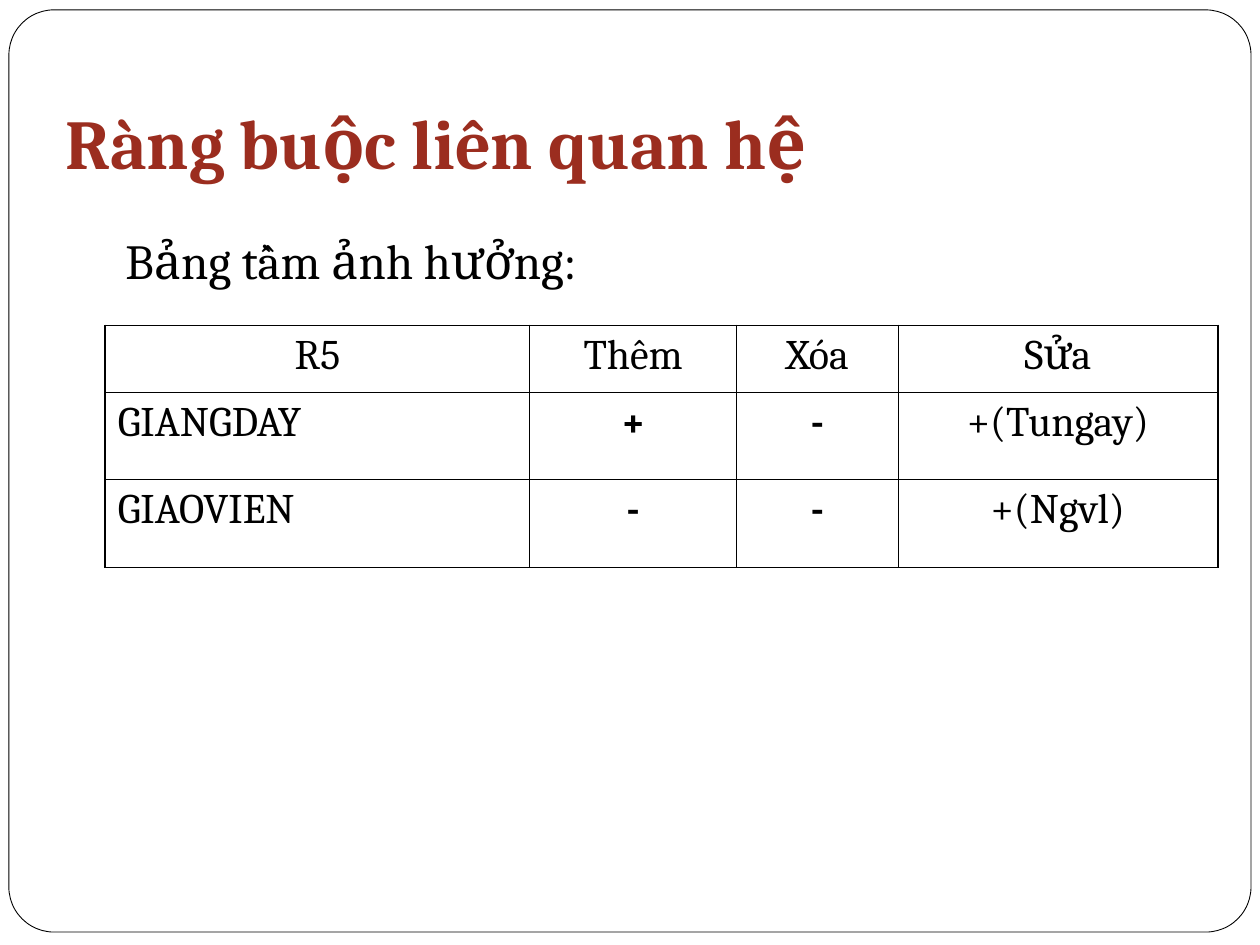
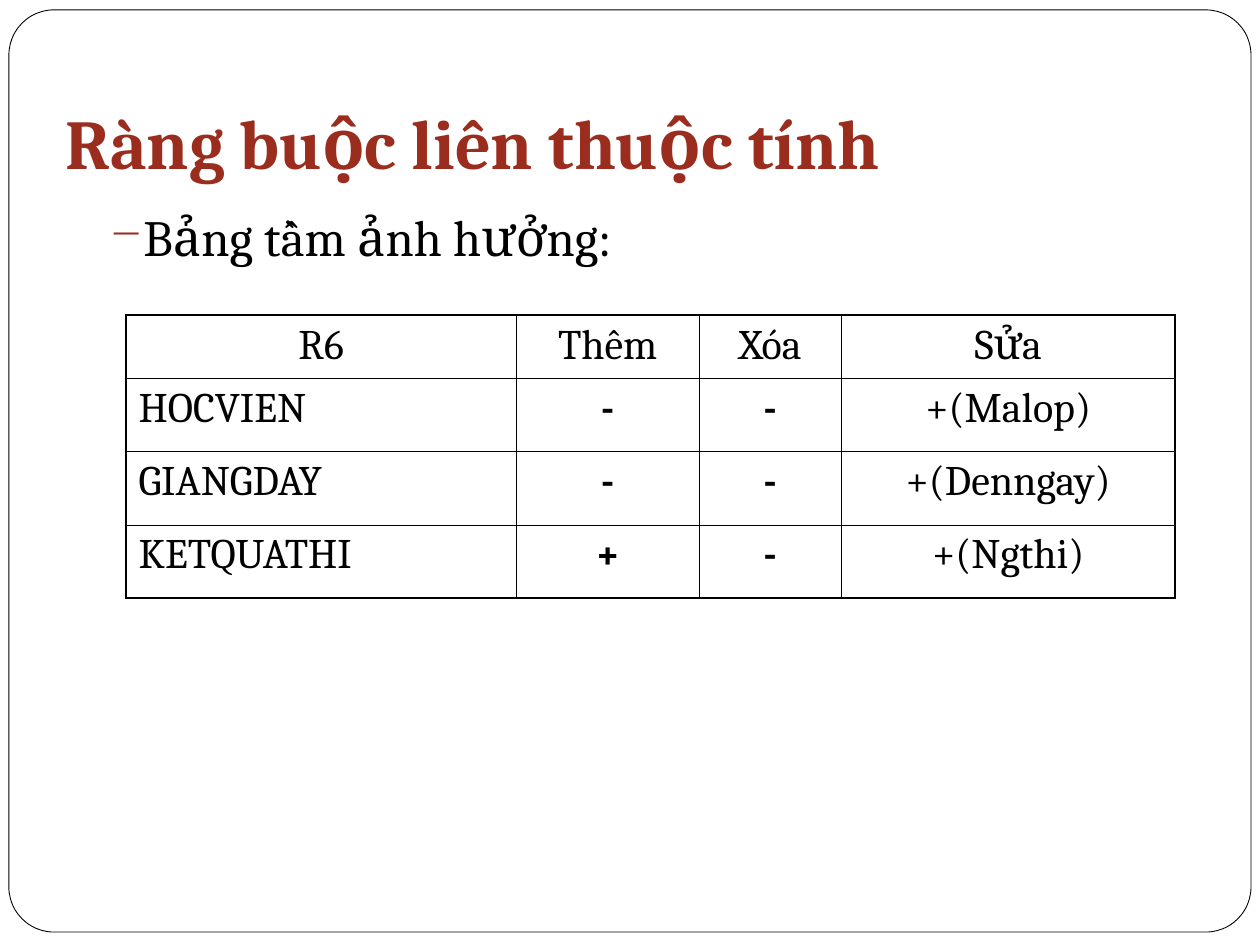
from lxml import etree
from pptx import Presentation
from pptx.dml.color import RGBColor
from pptx.enum.shapes import MSO_SHAPE
from pptx.enum.text import MSO_ANCHOR, PP_ALIGN
from pptx.oxml.ns import qn
from pptx.util import Cm, Pt

ROUND = MSO_SHAPE.ROUNDED_RECTANGLE
TOP, BOTTOM = MSO_ANCHOR.TOP, MSO_ANCHOR.BOTTOM
LEFT, CENTER, JUSTIFY = PP_ALIGN.LEFT, PP_ALIGN.CENTER, PP_ALIGN.JUSTIFY

FONT = "Cambria"
BLACK, WHITE, RED = "000000", "FFFFFF", "9B2D1F"
THICK, THIN = 1.08, 0.45
FRAME = (0.18, 0.2, 25.04, 18.59)
TITLE = (1.07, 0.76, 23.29, 3.18)
HEADS = ["Thêm", "Xóa", "Sửa"]


def color(code):
    return RGBColor.from_string(code)


def apply(item, form):
    for name, value in form.items():
        setattr(item, name, value)


def write(para, text, size, code=BLACK, bold=False):
    run = para.add_run()
    run.text = text
    apply(run.font, {"name": FONT, "size": Pt(size), "bold": bold})
    run.font.color.rgb = color(code)


def indent(para, left, first=0):
    props = para._p.get_or_add_pPr()
    props.set("marL", str(Cm(left)))
    props.set("indent", str(Cm(first)))
    return props


def bullet(props, char, code, scale):
    tint = etree.SubElement(props, qn("a:buClr"))
    etree.SubElement(tint, qn("a:srgbClr"), val=code)
    etree.SubElement(props, qn("a:buSzPct"), val=str(scale * 1000))
    etree.SubElement(props, qn("a:buChar"), char=char)


def text_box(slide, box, anchor=TOP, foot=0.13):
    frame = slide.shapes.add_textbox(*map(Cm, box)).text_frame
    apply(frame, {"word_wrap": True, "vertical_anchor": anchor,
                  "margin_left": Cm(0.25), "margin_right": Cm(0.25),
                  "margin_top": Cm(0.13), "margin_bottom": Cm(foot)})
    return frame.paragraphs[0]


# Rounded frame and title shared by the slides
def base(deck, title):
    slide = deck.slides.add_slide(deck.slide_layouts[6])
    frame = slide.shapes.add_shape(ROUND, *map(Cm, FRAME))
    frame.shadow.inherit = False
    frame.adjustments[0] = 0.049
    frame.fill.solid()
    frame.fill.fore_color.rgb = color(WHITE)
    frame.line.color.rgb = color(BLACK)
    frame.line.width = Pt(0.5)
    write(text_box(slide, TITLE, BOTTOM, 0.25), title, 40, RED, True)
    return slide


def border(cell, side, width):
    props = cell._tc.get_or_add_tcPr()
    line = etree.SubElement(props, qn("a:ln" + side), w=str(Pt(width)))
    fill = etree.SubElement(line, qn("a:solidFill"))
    etree.SubElement(fill, qn("a:srgbClr"), val=BLACK)


# Table of effects: thick outer edge, thin inner lines
def effects(slide, spot, wide, high, rows):
    box = (*spot, sum(wide), sum(high))
    shape = slide.shapes.add_table(len(high), len(wide), *map(Cm, box))
    table = shape.table
    apply(table, {"first_row": False, "horz_banding": False})
    for col, size in zip(table.columns, wide):
        col.width = Cm(size)
    for row, size in zip(table.rows, high):
        row.height = Cm(size)
    for r, row in enumerate(rows):
        for c, text in enumerate(row):
            cell = table.cell(r, c)
            edges = {"L": c == 0, "R": c == len(wide) - 1,
                     "T": r == 0, "B": r == len(high) - 1}
            for side, outer in edges.items():
                border(cell, side, THICK if outer else THIN)
            cell.fill.background()
            para = cell.text_frame.paragraphs[0]
            para.alignment = LEFT if r and c == 0 else CENTER
            write(para, text, 24, bold=text in ("+", "-"))


# Constraint between relations
def relation(deck):
    slide = base(deck, "Ràng buộc liên quan hệ")
    effects(slide, (2.12, 6.56), [8.56, 4.17, 3.25, 6.45],
            [1.35, 1.75, 1.78],
            [["R5", *HEADS],
             ["GIANGDAY", "+", "-", "+(Tungay)"],
             ["GIAOVIEN", "-", "-", "+(Ngvl)"]])
    para = text_box(slide, (2.13, 4.45, 10, 1.5))
    indent(para, 0.15)
    para.line_spacing = 1.05
    write(para, "Bảng tầm ảnh hưởng:", 28)


# Constraint between attributes
def attribute(deck):
    slide = base(deck, "Ràng buộc liên thuộc tính")
    para = text_box(slide, (1.07, 4.01, 23.29, 12.7))
    bullet(indent(para, 1.52, -0.64), "−", RED, 85)
    para.alignment = JUSTIFY
    write(para, "Bảng tầm ảnh hưởng:", 29)
    effects(slide, (2.54, 6.35), [7.87, 3.68, 2.87, 6.73],
            [1.27] + [1.48] * 3,
            [["R6", *HEADS],
             ["HOCVIEN", "-", "-", "+(Malop)"],
             ["GIANGDAY", "-", "-", "+(Denngay)"],
             ["KETQUATHI", "+", "-", "+(Ngthi)"]])


def main():
    deck = Presentation()
    apply(deck, {"slide_width": Cm(25.4), "slide_height": Cm(19.05)})
    relation(deck)
    attribute(deck)
    deck.save("out.pptx")


if __name__ == "__main__":
    main()
